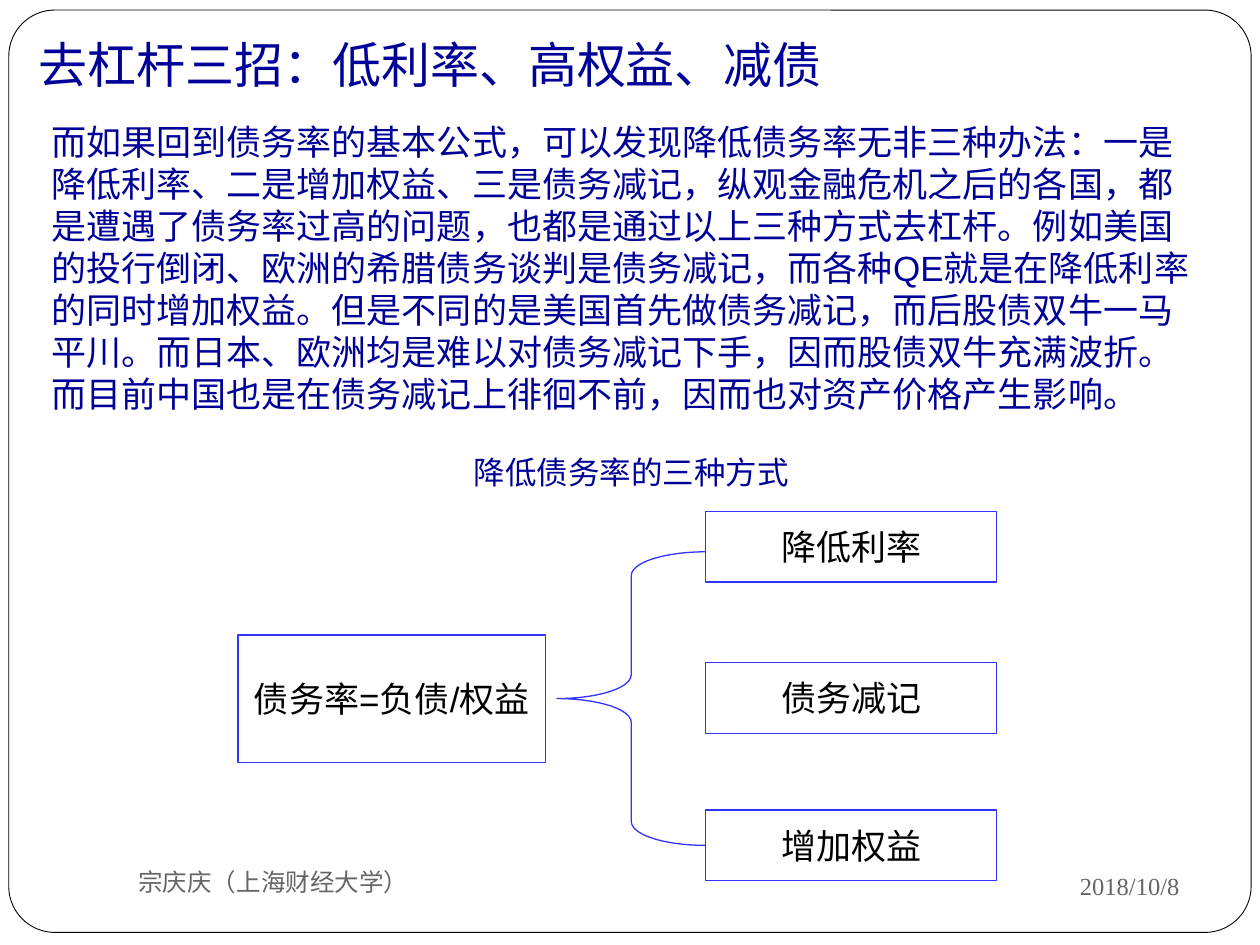
from dataclasses import dataclass

from lxml.etree import SubElement
from pptx import Presentation
from pptx.dml.color import RGBColor
from pptx.enum.shapes import MSO_SHAPE
from pptx.enum.text import MSO_ANCHOR, PP_ALIGN
from pptx.oxml.ns import qn
from pptx.util import Inches, Pt


@dataclass(frozen=True)
class Theme:
    navy: str = "000099"
    blue: str = "3333FF"
    black: str = "000000"
    white: str = "FFFFFF"
    gray: str = "696464"
    sans: str = "Arial"
    serif: str = "Times New Roman"
    title: int = 28
    body: int = 20
    caption: int = 18
    footer: int = 14


COLUMNS, ROWS = 100, 75


class SlideBuilder:
    def __init__(self, deck, theme):
        self.theme = theme
        self.page = deck.slides.add_slide(deck.slide_layouts[6])
        self.column = deck.slide_width / COLUMNS
        self.row = deck.slide_height / ROWS

    def place(self, left, top, width, height):
        return (round(left * self.column), round(top * self.row),
                round(width * self.column), round(height * self.row))

    def label(self, box, words, size, color, align=PP_ALIGN.LEFT,
              anchor=MSO_ANCHOR.MIDDLE, font=None):
        frame = box.text_frame
        frame.word_wrap = True
        frame.vertical_anchor = anchor
        para = frame.paragraphs[0]
        para.alignment = align
        span = para.add_run()
        span.text = words
        formats = {"name": font or self.theme.sans, "size": Pt(size)}
        for name, value in formats.items():
            setattr(span.font, name, value)
        span.font.color.rgb = RGBColor.from_string(color)

    def text(self, area, words, size, color, **formats):
        box = self.page.shapes.add_textbox(*self.place(*area))
        self.label(box, words, size, color, **formats)

    def shape(self, kind, area, fill=None, opacity=None, line=None,
              weight=0.75, adjustments=()):
        box = self.page.shapes.add_shape(kind, *self.place(*area))
        box.shadow.inherit = False
        for index, value in enumerate(adjustments):
            box.adjustments[index] = value
        if fill:
            box.fill.solid()
            box.fill.fore_color.rgb = RGBColor.from_string(fill)
        else:
            box.fill.background()
        if opacity:
            color = box.element.spPr.find(qn("a:solidFill"))[0]
            SubElement(color, qn("a:alpha"), val=str(opacity * 1000))
        if line:
            box.line.color.rgb = RGBColor.from_string(line)
            box.line.width = Pt(weight)
        else:
            box.line.fill.background()
        return box

    def title(self, area, words):
        box = self.shape(MSO_SHAPE.RECTANGLE, area, self.theme.white, opacity=50)
        self.label(box, words, self.theme.title, self.theme.navy)

    def node(self, area, words):
        box = self.shape(MSO_SHAPE.RECTANGLE, area, line=self.theme.blue)
        self.label(box, words, self.theme.body, self.theme.black,
                   align=PP_ALIGN.CENTER)

    def footer(self, area, words, align):
        self.text(area, words, self.theme.footer, self.theme.gray,
                  align=align, font=self.theme.serif)


BODY = (
    "而如果回到债务率的基本公式，可以发现降低债务率无非三种办法：一是降低利率、"
    "二是增加权益、三是债务减记，纵观金融危机之后的各国，都是遭遇了债务率过高的问题，"
    "也都是通过以上三种方式去杠杆。例如美国的投行倒闭、欧洲的希腊债务谈判是债务减记，"
    "而各种QE就是在降低利率的同时增加权益。但是不同的是美国首先做债务减记，"
    "而后股债双牛一马平川。而日本、欧洲均是难以对债务减记下手，因而股债双牛充满波折。"
    "而目前中国也是在债务减记上徘徊不前，因而也对资产价格产生影响。"
)
METHODS = {"降低利率": 40.6, "债务减记": 52.6, "增加权益": 64.3}


def main():
    deck = Presentation()
    deck.slide_width, deck.slide_height = Inches(10), Inches(7.5)
    theme = Theme()
    slide = SlideBuilder(deck, theme)

    slide.shape(MSO_SHAPE.ROUNDED_RECTANGLE, (0.7, 0.8, 98.6, 73.2),
                fill=theme.white, line=theme.black, weight=0.5,
                adjustments=[0.05])
    slide.text((3.1, 9.1, 93.7, 24.6), BODY, theme.body, theme.navy,
               anchor=MSO_ANCHOR.TOP)
    slide.text((0.2, 35.5, 99.8, 4), "降低债务率的三种方式", theme.caption,
               theme.navy, align=PP_ALIGN.CENTER, anchor=MSO_ANCHOR.TOP)
    slide.title((2.1, 1.9, 78.3, 6.4), "去杠杆三招：低利率、高权益、减债")

    slide.node((18.9, 50.4, 24.4, 10.1), "债务率=负债/权益")
    slide.shape(MSO_SHAPE.LEFT_BRACE, (44.2, 43.8, 11.8, 23.3),
                line=theme.blue, adjustments=[0.16, 0.5])
    for method, top in METHODS.items():
        slide.node((56, top, 23.1, 5.6), method)

    slide.footer((67.5, 67.7, 27.1, 5.2), "2018/10/8", PP_ALIGN.RIGHT)
    slide.footer((10, 67.5, 43.3, 5), "宗庆庆（上海财经大学）", PP_ALIGN.LEFT)
    deck.save("out.pptx")


if __name__ == "__main__":
    main()
